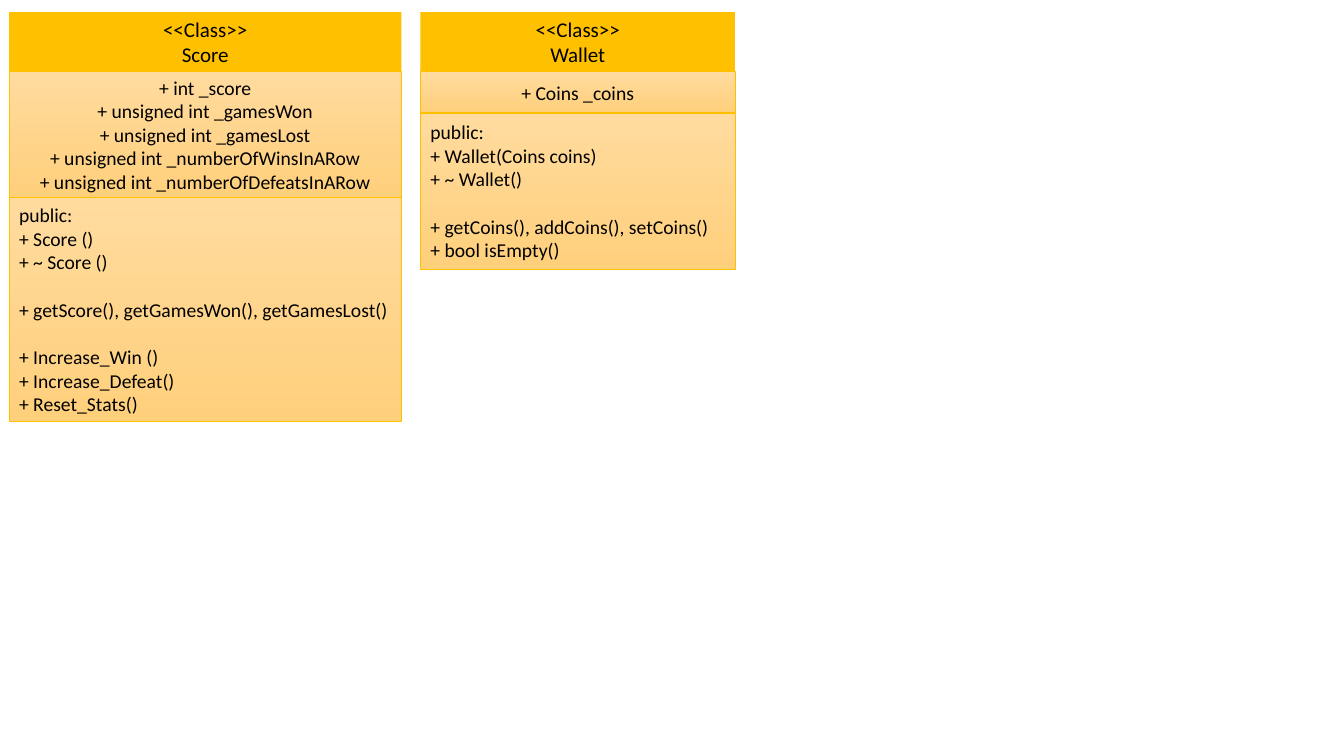
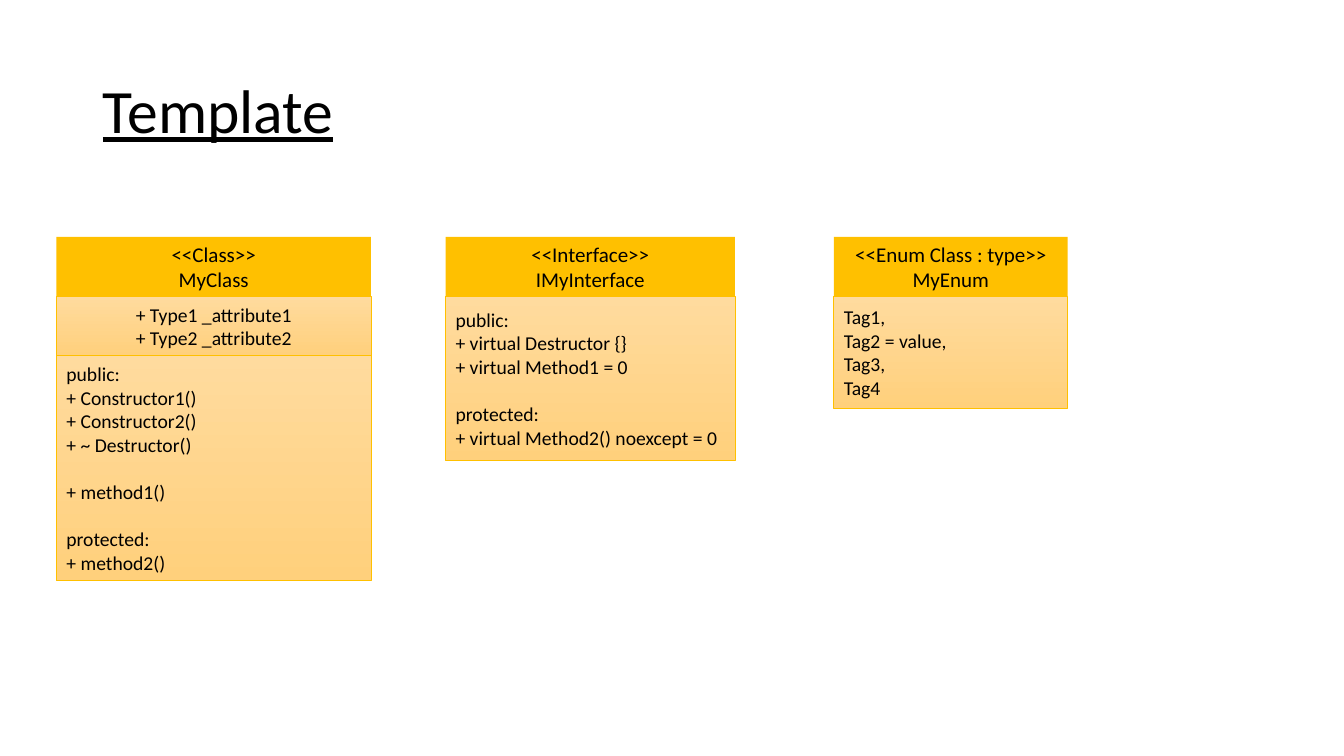
from pptx import Presentation
from pptx.dml.color import RGBColor
from pptx.enum.shapes import MSO_SHAPE as SHAPE
from pptx.enum.text import MSO_ANCHOR as ANCHOR, PP_ALIGN as ALIGN
from pptx.util import Inches, Pt

COLORS = {"text": "000000", "amber": "FFC000",
          "box_top": "FFDB9E", "box_bottom": "FFD07C"}
FONT = "Calibri"
HEAD_SIZE, BODY_SIZE, TITLE_SIZE = 15, 14, 44
HEAD_HEIGHT = 0.59
GROUP_GAP = 17  # points, one body line
TITLE_ONLY, BLANK = 5, 6


def rgb(name):
    """Return the named colour."""
    return RGBColor.from_string(COLORS[name])


class Diagram:
    """Holds the shared style and the current slide."""

    def __init__(self, prs):
        """Keep the presentation."""
        self.prs = prs
        self.s = None

    def new_slide(self, title=None):
        """Start a slide, with an underlined title if one is given."""
        layout = TITLE_ONLY if title else BLANK
        self.s = self.prs.slides.add_slide(self.prs.slide_layouts[layout])
        if title:
            self.title(title)

    def title(self, text):
        """Place and format the title placeholder."""
        sp = self.s.shapes.title
        sp.left, sp.top = Inches(0.92), Inches(0.4)
        sp.width, sp.height = Inches(11.5), Inches(1.45)
        tf = sp.text_frame
        tf.vertical_anchor = ANCHOR.MIDDLE
        p = tf.paragraphs[0]
        p.text = text
        p.line_spacing = 0.9
        self.style(p, TITLE_SIZE, ALIGN.LEFT)
        p.font.underline = True

    def style(self, p, size, align):
        """Set the font and alignment of a paragraph."""
        p.alignment = align
        p.font.name = FONT
        p.font.size = Pt(size)
        p.font.color.rgb = rgb("text")

    def box(self, x, y, w, h, groups, size, align):
        """Add a rectangle whose groups of lines are set apart by a gap."""
        sp = self.s.shapes.add_shape(SHAPE.RECTANGLE, Inches(x), Inches(y),
                                     Inches(w), Inches(h))
        sp.shadow.inherit = False
        tf = sp.text_frame
        tf.word_wrap = True
        tf.vertical_anchor = ANCHOR.MIDDLE
        tf.text = "\n".join(line for group in groups for line in group)
        for p in tf.paragraphs:
            self.style(p, size, align)
        start = 0
        for group in groups[:-1]:
            start += len(group)
            tf.paragraphs[start].space_before = Pt(GROUP_GAP)
        return sp

    def header(self, x, y, w, kind, name):
        """Add the solid box with stereotype and name."""
        sp = self.box(x, y, w, HEAD_HEIGHT, [[f"<<{kind}>>", name]],
                      HEAD_SIZE, ALIGN.CENTER)
        sp.fill.solid()
        sp.fill.fore_color.rgb = rgb("amber")
        sp.line.fill.background()

    def section(self, x, y, w, h, groups, align):
        """Add an outlined gradient box for members."""
        sp = self.box(x, y, w, h, groups, BODY_SIZE, align)
        sp.fill.gradient()
        sp.fill.gradient_angle = 270
        for stop, color in zip(sp.fill.gradient_stops, ("box_top", "box_bottom")):
            stop.color.rgb = rgb(color)
        sp.line.color.rgb = rgb("amber")
        sp.line.width = Pt(0.5)

    def uml(self, x, y, w, kind, name, methods, attributes=None):
        """Stack header, optional attributes and methods; each is (height, groups)."""
        self.header(x, y, w, kind, name)
        y += HEAD_HEIGHT
        if attributes:
            h, groups = attributes
            self.section(x, y, w, h, groups, ALIGN.CENTER)
            y += h
        h, groups = methods
        self.section(x, y, w, h, groups, ALIGN.JUSTIFY)


def score_slide(d):
    """Build the slide with the Score and Wallet classes."""
    d.new_slide()
    top = 0.12
    d.uml(0.09, top, 3.89, "Class", "Score",
          attributes=(1.25, [["+ int _score",
                              "+ unsigned int _gamesWon",
                              "+ unsigned int _gamesLost",
                              "+ unsigned int _numberOfWinsInARow",
                              "+ unsigned int _numberOfDefeatsInARow"]]),
          methods=(2.22, [["public:", "+ Score ()", "+ ~ Score ()"],
                          ["+ getScore(), getGamesWon(), getGamesLost()"],
                          ["+ Increase_Win ()", "+ Increase_Defeat()",
                           "+ Reset_Stats()"]]))
    d.uml(4.17, top, 3.12, "Class", "Wallet",
          attributes=(0.41, [["+ Coins _coins"]]),
          methods=(1.55, [["public:", "+ Wallet(Coins coins)", "+ ~ Wallet()"],
                          ["+ getCoins(), addCoins(), setCoins()",
                           "+ bool isEmpty()"]]))


def template_slide(d):
    """Build the slide with the class, interface and enum templates."""
    d.new_slide("Template")
    top = 2.35
    d.uml(0.56, top, 3.12, "Class", "MyClass",
          attributes=(0.59, [["+ Type1 _attribute1", "+ Type2 _attribute2"]]),
          methods=(2.23, [["public:", "+ Constructor1()", "+ Constructor2()",
                           "+ ~ Destructor()"],
                          ["+ method1()"],
                          ["protected:", "+ method2()"]]))
    d.uml(4.42, top, 2.87, "Interface", "IMyInterface",
          methods=(1.63, [["public:", "+ virtual Destructor {}",
                           "+ virtual Method1 = 0"],
                          ["protected:", "+ virtual Method2() noexcept = 0"]]))
    d.uml(8.27, top, 2.32, "Enum Class : type", "MyEnum",
          methods=(1.11, [["Tag1,", "Tag2 = value,", "Tag3,", "Tag4"]]))


def main():
    """Build and save the presentation."""
    prs = Presentation()
    prs.slide_width, prs.slide_height = Inches(13.33), Inches(7.5)
    d = Diagram(prs)
    score_slide(d)
    template_slide(d)
    prs.save("out.pptx")


main()
